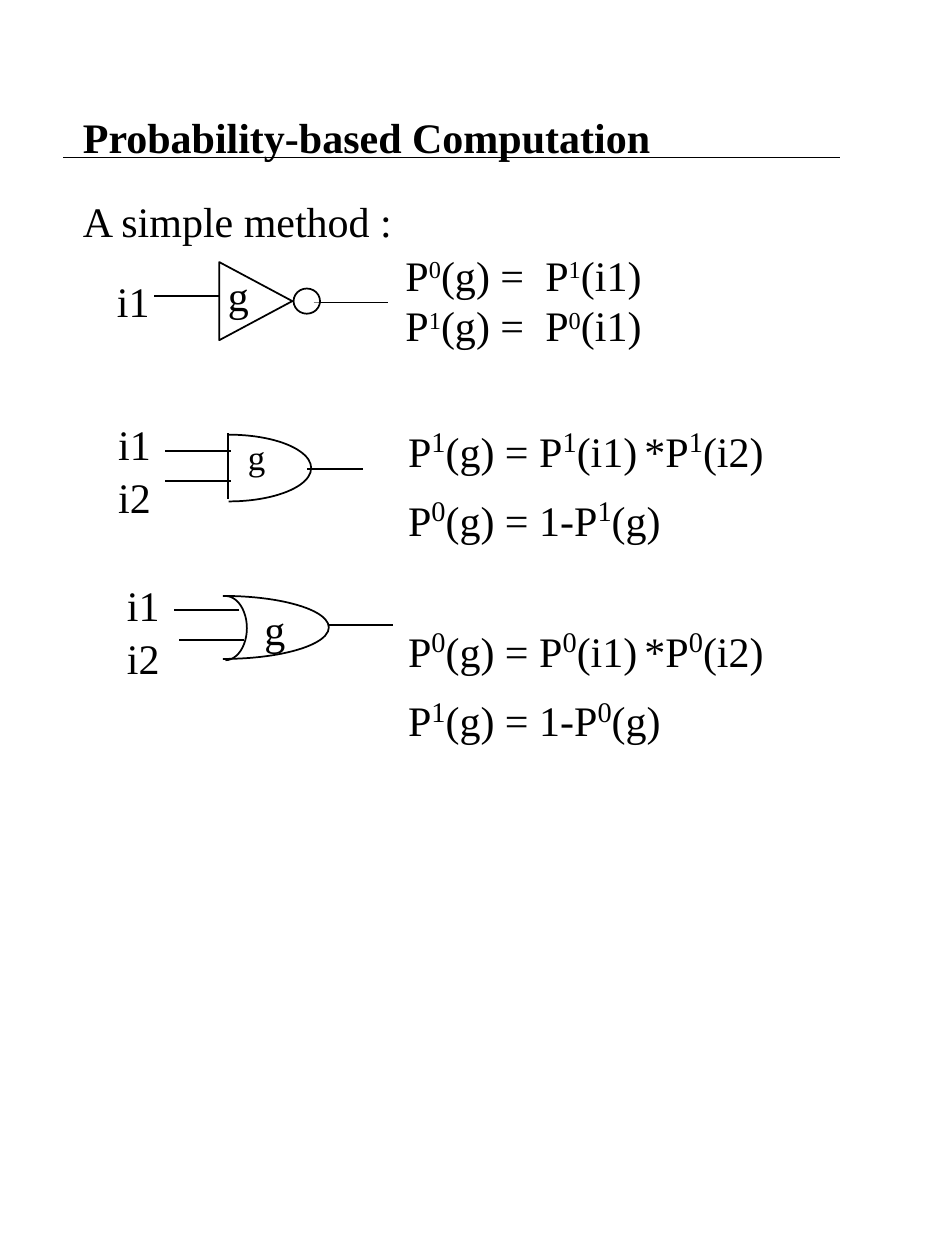
from lxml.etree import SubElement
from pptx import Presentation
from pptx.dml.color import RGBColor
from pptx.enum.shapes import MSO_CONNECTOR as Link, MSO_SHAPE as Shape
from pptx.enum.text import MSO_ANCHOR as Anchor
from pptx.oxml.ns import qn
from pptx.util import Inches, Pt

BLACK = RGBColor(0, 0, 0)
WHITE = RGBColor(255, 255, 255)


class Sheet:
    """Draws black line art and serif text on one slide."""

    font = "Times New Roman"
    weight = Pt(1)

    def __init__(self, slide):
        self.shapes = slide.shapes

    def text(self, box, lines, size=24, sup=24, bold=False, wrap=False, gap=0, anchor=Anchor.TOP):
        frame = self.shapes.add_textbox(*map(Inches, box)).text_frame
        frame.word_wrap = wrap
        frame.vertical_anchor = anchor
        for row, line in enumerate(lines):
            para = frame.add_paragraph() if row else frame.paragraphs[0]
            if row and gap:
                para.space_before = Pt(gap)
            for part, words in enumerate(line.split("^")):
                raised = part % 2
                run = para.add_run()
                run.text = words
                font = run.font
                font.name, font.bold = self.font, bold
                font.size = Pt(sup if raised else size)
                font.color.rgb = BLACK
                if raised:
                    run._r.get_or_add_rPr().set("baseline", "30000")

    def line(self, x1, y1, x2, y2):
        link = self.shapes.add_connector(Link.STRAIGHT, *map(Inches, (x1, y1, x2, y2)))
        link.line.color.rgb = BLACK
        link.line.width = self.weight
        SubElement(link._element.spPr, qn("a:effectLst"))

    def shape(self, kind, box, turn=0):
        item = self.shapes.add_shape(kind, *map(Inches, box))
        item.shadow.inherit = False
        item.rotation = turn
        item.line.color.rgb = BLACK
        item.line.width = self.weight
        return item

    def glass(self, kind, box, turn=0):
        item = self.shape(kind, box, turn)
        item.fill.solid()
        item.fill.fore_color.rgb = WHITE
        tint = item._element.spPr.find(".//" + qn("a:srgbClr"))
        SubElement(tint, qn("a:alpha")).set("val", "50000")

    def bow(self, box):
        item = self.shape(Shape.ARC, box)
        item.fill.background()
        item.adjustments[0] = 162
        item.adjustments[1] = 54

    def pins(self, left, top):
        for row, name in enumerate(("i1", "i2")):
            self.text((left, top + row * 0.42, 0.46, 0.5), [name])

    def rules(self, top, one, two):
        lines = [f"P^{one}^(g) = P^{one}^(i1)^ ^*P^{one}^(i2)", f"P^{two}^(g) = 1-P^{one}^(g)"]
        self.text((3.14, top, 4.36, 1.1), lines, sup=28, wrap=True, gap=6)


def main():
    deck = Presentation()
    deck.slide_width, deck.slide_height = Inches(7.5), Inches(10)
    sheet = Sheet(deck.slides.add_slide(deck.slide_layouts[6]))

    sheet.text((0.56, 0.5, 6.37, 1.17), ["Probability-based Computation"],
               bold=True, wrap=True, anchor=Anchor.MIDDLE)
    sheet.line(0.5, 1.25, 6.67, 1.25)
    sheet.text((0.56, 1.5, 6.37, 0.5), ["A simple method :"], wrap=True)

    sheet.line(2.49, 2.4, 3.08, 2.4)
    sheet.glass(Shape.ISOSCELES_TRIANGLE, (1.72, 2.1, 0.62, 0.58), 90)
    sheet.glass(Shape.OVAL, (2.33, 2.29, 0.21, 0.2))
    sheet.line(1.74, 2.35, 1.22, 2.35)
    sheet.text((1.71, 2.09, 0.37, 0.5), ["g"])
    sheet.text((0.83, 2.14, 0.46, 0.5), ["i1"])
    sheet.text((3.12, 1.93, 1.14, 0.9), ["P^0^(g) =", "P^1^(g) ="])
    sheet.text((4.23, 1.93, 0.97, 0.9), ["P^1^(i1)", "P^0^(i1)"])

    sheet.bow((1.16, 3.45, 1.31, 0.53))
    sheet.line(1.81, 3.44, 1.81, 3.96)
    sheet.line(2.44, 3.72, 2.88, 3.72)
    for y in (3.58, 3.82):
        sheet.line(1.83, y, 1.31, y)
    sheet.text((1.87, 3.41, 0.34, 0.44), ["g"], size=20)
    sheet.pins(0.84, 3.27)
    sheet.rules(3.27, 1, 0)

    sheet.bow((0.93, 4.73, 1.68, 0.5))
    sheet.bow((1.62, 4.73, 0.34, 0.51))
    sheet.line(2.6, 4.96, 3.12, 4.96)
    for x, y in ((1.9, 4.84), (1.94, 5.08)):
        sheet.line(x, y, x - 0.52, y)
    sheet.text((2, 4.74, 0.37, 0.5), ["g"])
    sheet.pins(0.91, 4.55)
    sheet.rules(4.86, 0, 1)

    deck.save("out.pptx")


if __name__ == "__main__":
    main()
